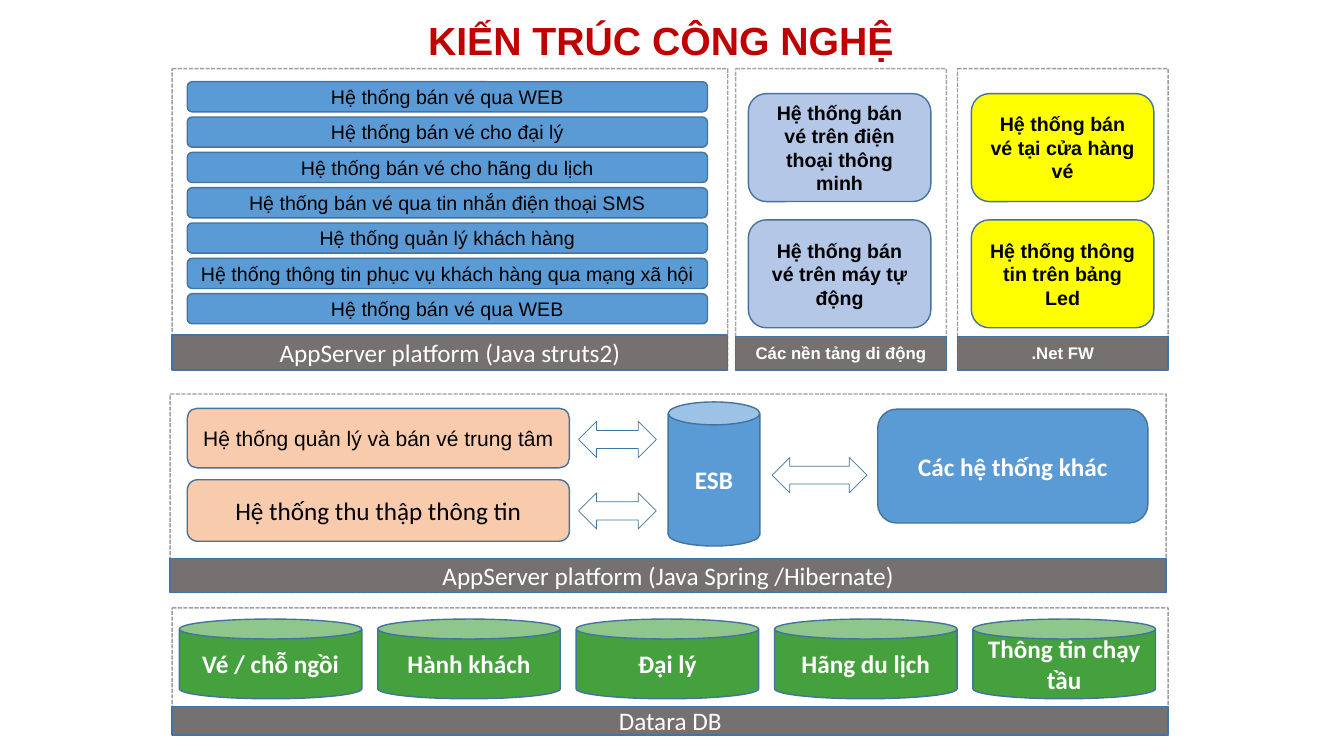
import lxml.etree
import pptx
import pptx.dml.color
import pptx.enum.dml
import pptx.enum.shapes
import pptx.enum.text
import pptx.oxml.ns
import pptx.util
from dataclasses import dataclass

Cm = pptx.util.Cm
Pt = pptx.util.Pt
SHAPE = pptx.enum.shapes.MSO_SHAPE


@dataclass(frozen=True)
class Theme:
    title: str = "C00000"
    outline: str = "43739E"
    blue: str = "5B9BD5"
    peach: str = "F8CBAD"
    lilac: str = "B4C7E7"
    yellow: str = "FFFF00"
    green: str = "45A03E"
    footer: str = "767171"
    black: str = "000000"
    charcoal: str = "404040"
    white: str = "FFFFFF"
    title_size: float = 28
    large: float = 18
    medium: float = 15
    body: float = 14
    small: float = 12
    sans: str = "Arial"
    rounded: str = "Calibri"


theme = Theme()


def rgb(value):
    return pptx.dml.color.RGBColor.from_string(value)


def add_block(kind, box, fill, text="", size=theme.large, font=theme.rounded,
              color=theme.white, bold=False, line_width=1):
    """Add an outlined shape with centred text; box is left, top, width, height in cm."""
    block = slide.shapes.add_shape(kind, *(Cm(length) for length in box))
    block.shadow.inherit = False
    if fill is None:
        block.fill.background()
    else:
        block.fill.solid()
        block.fill.fore_color.rgb = rgb(fill)
    block.line.color.rgb = rgb(theme.outline)
    block.line.width = Pt(line_width)
    if text:
        block.text_frame.vertical_anchor = pptx.enum.text.MSO_ANCHOR.MIDDLE
        label = block.text_frame.paragraphs[0]
        label.text = text
        label.alignment = pptx.enum.text.PP_ALIGN.CENTER
        label.font.size = Pt(size)
        label.font.name = font
        label.font.bold = bold
        label.font.color.rgb = rgb(color)
    return block


deck = pptx.Presentation()
deck.slide_width, deck.slide_height = Cm(33.87), Cm(19.05)
slide = deck.slides.add_slide(deck.slide_layouts[6])

# Title
title_box = slide.shapes.add_textbox(Cm(10.54), Cm(0.28), Cm(14.6), Cm(1.45))
title_box.text_frame.word_wrap = True
title = title_box.text_frame.paragraphs[0]
title.text = "KIẾN TRÚC CÔNG NGHỆ"
title.font.size = Pt(theme.title_size)
title.font.name = theme.sans
title.font.bold = True
title.font.color.rgb = rgb(theme.title)

# Dashed platform panels, each with a footer along its bottom edge
large_footer = dict(size=theme.large, font=theme.rounded)
small_footer = dict(size=theme.small, font=theme.sans, bold=True)
platforms = [
    ((4.34, 1.73, 14, 7.59), theme.charcoal, 49, 0.88,
     "AppServer platform (Java struts2)", large_footer),
    ((18.54, 1.73, 5.31, 7.59), theme.black, 35, 0.84,
     "Các nền tảng di động", small_footer),
    ((24.13, 1.73, 5.31, 7.59), theme.black, 38, 0.84, ".Net FW", small_footer),
    ((4.29, 9.93, 25.1, 5), theme.charcoal, 49, 0.86,
     "AppServer platform (Java Spring /Hibernate)", large_footer),
    ((4.34, 15.32, 25.1, 3.2), theme.charcoal, 49, 0.71, "Datara DB", large_footer),
]
for box, dash_color, opacity, footer_height, name, style in platforms:
    panel = add_block(SHAPE.FLOWCHART_PROCESS, box, None)
    panel.line.color.rgb = rgb(dash_color)
    panel.line.dash_style = pptx.enum.dml.MSO_LINE.SQUARE_DOT
    line_color = panel.line._ln.find(".//" + pptx.oxml.ns.qn("a:srgbClr"))
    lxml.etree.SubElement(line_color, pptx.oxml.ns.qn("a:alpha"), val=str(opacity * 1000))
    left, top, width, height = box
    add_block(SHAPE.FLOWCHART_PROCESS,
              (left, top + height - footer_height, width, footer_height),
              theme.footer, name, **style)

# Web systems
web_systems = [
    "Hệ thống bán vé qua WEB",
    "Hệ thống bán vé cho đại lý",
    "Hệ thống bán vé cho hãng du lịch",
    "Hệ thống bán vé qua tin nhắn điện thoại SMS",
    "Hệ thống quản lý khách hàng",
    "Hệ thống thông tin phục vụ khách hàng qua mạng xã hội",
    "Hệ thống bán vé qua WEB",
]
for row, system in enumerate(web_systems):
    add_block(SHAPE.ROUNDED_RECTANGLE, (4.72, 2.06 + 0.89 * row, 13.11, 0.76),
              theme.blue, system, theme.body, theme.sans, theme.black)

# Device systems
device_columns = [
    (18.86, theme.lilac, ["Hệ thống bán vé trên điện thoại thông minh",
                          "Hệ thống bán vé trên máy tự động"]),
    (24.48, theme.yellow, ["Hệ thống bán vé tại cửa hàng vé",
                           "Hệ thống thông tin trên bảng Led"]),
]
for left, fill, systems in device_columns:
    for row, system in enumerate(systems):
        add_block(SHAPE.ROUNDED_RECTANGLE, (left, 2.36 + 3.18 * row, 4.6, 2.72),
                  fill, system, theme.body, theme.sans, theme.black, bold=True)

# Service bus and the systems around it
add_block(SHAPE.ROUNDED_RECTANGLE, (4.72, 10.29, 9.63, 1.5), theme.peach,
          "Hệ thống quản lý và bán vé trung tâm", theme.medium, theme.sans, theme.black)
add_block(SHAPE.ROUNDED_RECTANGLE, (4.72, 12.09, 9.63, 1.55), theme.peach,
          "Hệ thống thu thập thông tin", color=theme.black)
add_block(SHAPE.CAN, (16.84, 10.13, 2.31, 3.63), theme.blue, "ESB", bold=True)
add_block(SHAPE.ROUNDED_RECTANGLE, (22.12, 10.31, 6.81, 2.87), theme.blue,
          "Các hệ thống khác", bold=True)
for exchange in [(14.58, 10.62, 1.96, 0.91), (14.58, 12.42, 1.96, 0.91),
                 (19.46, 11.53, 2.39, 0.89)]:
    add_block(SHAPE.LEFT_RIGHT_ARROW, exchange, theme.white, line_width=0.5)

# Databases
databases = ["Vé / chỗ ngồi", "Hành khách", "Đại lý", "Hãng du lịch", "Thông tin chạy tầu"]
for column, database in enumerate(databases):
    add_block(SHAPE.CAN, (4.52 + 5 * column, 15.6, 4.6, 2.01), theme.green,
              database, bold=True)

deck.save("out.pptx")
